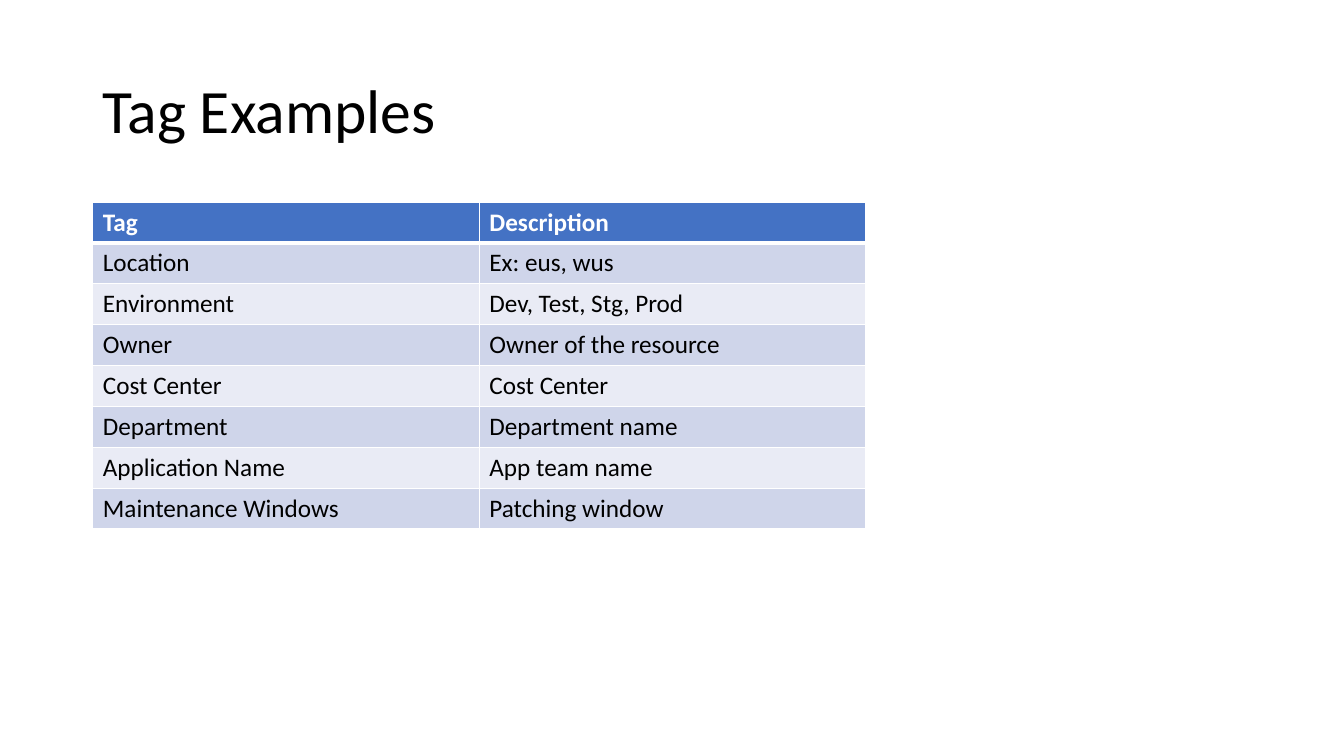
from lxml import etree
from pptx import Presentation
from pptx.dml.color import RGBColor
from pptx.enum.text import MSO_ANCHOR
from pptx.oxml.ns import qn
from pptx.util import Cm, Pt

MIDDLE = MSO_ANCHOR.MIDDLE
BLACK = RGBColor(0x00, 0x00, 0x00)
WHITE = RGBColor(0xFF, 0xFF, 0xFF)
BLUE = RGBColor(0x44, 0x72, 0xC4)
BAND_DARK = RGBColor(0xCF, 0xD5, 0xEA)
BAND_LIGHT = RGBColor(0xE9, 0xEB, 0xF5)

TAGS = [
    ("Tag", "Description"),
    ("Location", "Ex: eus, wus"),
    ("Environment", "Dev, Test, Stg, Prod"),
    ("Owner", "Owner of the resource"),
    ("Cost Center", "Cost Center"),
    ("Department", "Department name"),
    ("Application Name", "App team name"),
    ("Maintenance Windows", "Patching window"),
]


def write_text(frame, text, *, size, font, color=BLACK, bold=False, line_spacing=None):
    para = frame.paragraphs[0]
    para.line_spacing = line_spacing
    span = para.add_run()
    span.text = text
    span.font.name = font
    span.font.size = Pt(size)
    span.font.bold = bold
    span.font.color.rgb = color


def set_borders(cell, color, **widths):
    """Draw cell edges; widths are points keyed by edge, in the order L, R, T, B."""
    properties = cell._tc.get_or_add_tcPr()
    for edge, width in widths.items():
        line = etree.SubElement(properties, qn(f"a:ln{edge}"), w=str(Pt(width)))
        fill = etree.SubElement(line, qn("a:solidFill"))
        etree.SubElement(fill, qn("a:srgbClr"), val=str(color))


class SlideBuilder:
    font = "Calibri"
    title_size = 44
    table_size = 18

    def __init__(self, slide):
        self.slide = slide

    def title(self, text, left, top, width, height):
        box = self.slide.shapes.add_textbox(Cm(left), Cm(top), Cm(width), Cm(height))
        frame = box.text_frame
        frame.word_wrap = True
        frame.vertical_anchor = MIDDLE
        write_text(frame, text, size=self.title_size, font=self.font, line_spacing=0.9)

    def table(self, rows, left, top, column_width, row_height):
        row_count, column_count = len(rows), len(rows[0])
        table = self.slide.shapes.add_table(
            row_count, column_count, Cm(left), Cm(top),
            Cm(column_width * column_count), Cm(row_height * row_count),
        ).table
        for row_index, texts in enumerate(rows):
            header = row_index == 0
            band = BAND_DARK if row_index % 2 else BAND_LIGHT
            for column_index, text in enumerate(texts):
                cell = table.cell(row_index, column_index)
                set_borders(cell, WHITE, L=1, R=1,
                            T=3 if row_index == 1 else 1, B=3 if header else 1)
                cell.fill.solid()
                cell.fill.fore_color.rgb = BLUE if header else band
                write_text(cell.text_frame, text, size=self.table_size, font=self.font,
                           color=WHITE if header else BLACK, bold=header)


def main():
    deck = Presentation()
    deck.slide_width, deck.slide_height = Cm(33.87), Cm(19.05)
    page = SlideBuilder(deck.slides.add_slide(deck.slide_layouts[6]))
    page.title("Tag Examples", 2.33, 1.01, 29.21, 3.68)
    page.table(TAGS, 2.34, 5.09, column_width=9.74, row_height=1.03)
    deck.save("out.pptx")


if __name__ == "__main__":
    main()
